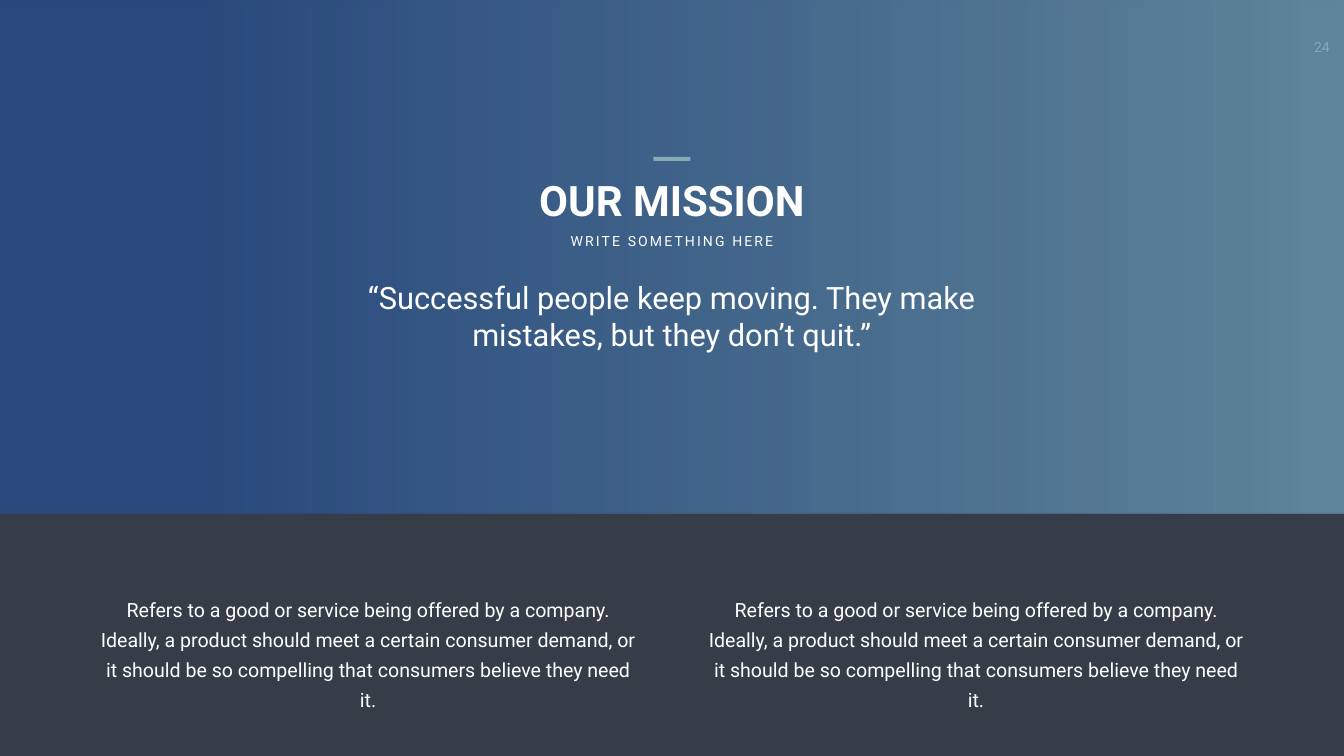
from dataclasses import dataclass

from lxml import etree
from pptx import Presentation
from pptx.dml.color import RGBColor
from pptx.enum.shapes import MSO_SHAPE
from pptx.enum.text import PP_ALIGN
from pptx.oxml.ns import qn
from pptx.util import Pt

RECT = MSO_SHAPE.RECTANGLE
CENTER = PP_ALIGN.CENTER

PX = 914400 / 50.4
SLIDE_W, SLIDE_H = 1344, 756

BODY = ("Refers to a good or service being offered by a company. Ideally, a "
        "product should meet a certain consumer demand, or it should be so "
        "compelling that consumers believe they need it.")


@dataclass(frozen=True)
class Theme:
    font: str = "Roboto"
    background: str = "363D48"
    gradient_start: str = "264D89"
    gradient_end: str = "6997AF"
    accent: str = "84ACB6"
    text: str = "FFFFFF"
    title_size: int = 60
    quote_size: int = 44
    body_size: int = 28
    small_size: int = 20
    body_leading: int = 43


THEME = Theme()


def px(n):
    return round(n * PX)


def rgb(value):
    return RGBColor.from_string(value)


def add_text(slide, box, text, size, bold=False, wrap=True, pad=(5, 3),
             leading=None, tracking=None):
    """Place one centred paragraph; pad is (sides, top and bottom)."""
    tf = slide.shapes.add_textbox(*map(px, box)).text_frame
    tf.word_wrap = wrap
    tf.margin_left = tf.margin_right = px(pad[0])
    tf.margin_top = tf.margin_bottom = px(pad[1])
    p = tf.paragraphs[0]
    p.text = text
    p.alignment = CENTER
    if leading:
        p.line_spacing = Pt(leading)
    r = p.runs[0]
    r.font.name = THEME.font
    r.font.size = Pt(size)
    r.font.bold = bold
    r.font.color.rgb = rgb(THEME.text)
    if tracking:
        r.font._element.set("spc", str(tracking * 100))


def add_rect(slide, box):
    sp = slide.shapes.add_shape(RECT, *map(px, box))
    sp.shadow.inherit = False
    sp.line.fill.background()
    return sp


def add_gradient_panel(slide, box):
    sp = add_rect(slide, box)
    sp.fill.gradient()
    sp.fill.gradient_angle = 0
    stops = ((0.15, THEME.gradient_start), (1, THEME.gradient_end))
    for stop, (position, color) in zip(sp.fill.gradient_stops, stops):
        stop.position = position
        stop.color.rgb = rgb(color)
    for color in sp._element.spPr.iter(qn("a:srgbClr")):
        etree.SubElement(color, qn("a:alpha")).set("val", "80000")


def add_mission(slide, box):
    """Stack the accent bar, title, subtitle and quote, centred in the box."""
    x, y, w, h = box

    def row(top, width, height):
        return x + (w - width) / 2, y + top, width, height

    add_gradient_panel(slide, box)
    add_text(slide, row(276, 636, 80),
             "“Successful people keep moving. They make mistakes, "
             "but they don’t quit.”", THEME.quote_size)
    add_text(slide, row(172, 382, 56), "OUR MISSION", THEME.title_size, bold=True)
    add_text(slide, row(230, 219, 22), "WRITE SOMETHING HERE",
             THEME.small_size, wrap=False, tracking=3)
    bar = add_rect(slide, row(157, 37, 4))
    bar.fill.solid()
    bar.fill.fore_color.rgb = rgb(THEME.accent)


def add_columns(slide, box, texts, gap):
    x, y, w, h = box
    col_w = (w - gap * (len(texts) - 1)) / len(texts)
    for i, text in enumerate(texts):
        add_text(slide, (x + i * (col_w + gap), y, col_w, h), text,
                 THEME.body_size, pad=(12, 6), leading=THEME.body_leading)


def main():
    prs = Presentation()
    prs.slide_width, prs.slide_height = px(SLIDE_W), px(SLIDE_H)
    slide = prs.slides.add_slide(prs.slide_layouts[6])
    slide.background.fill.solid()
    slide.background.fill.fore_color.rgb = rgb(THEME.background)

    # The page number lies under the translucent panel, which tints it.
    add_text(slide, (1304, 34, 36, 27), "24", THEME.small_size,
             wrap=False, pad=(10, 5))
    add_mission(slide, (0, 0, SLIDE_W, 513))
    add_columns(slide, (85, 585, 1174, 101), [BODY, BODY], gap=42)
    prs.save("out.pptx")


if __name__ == "__main__":
    main()
